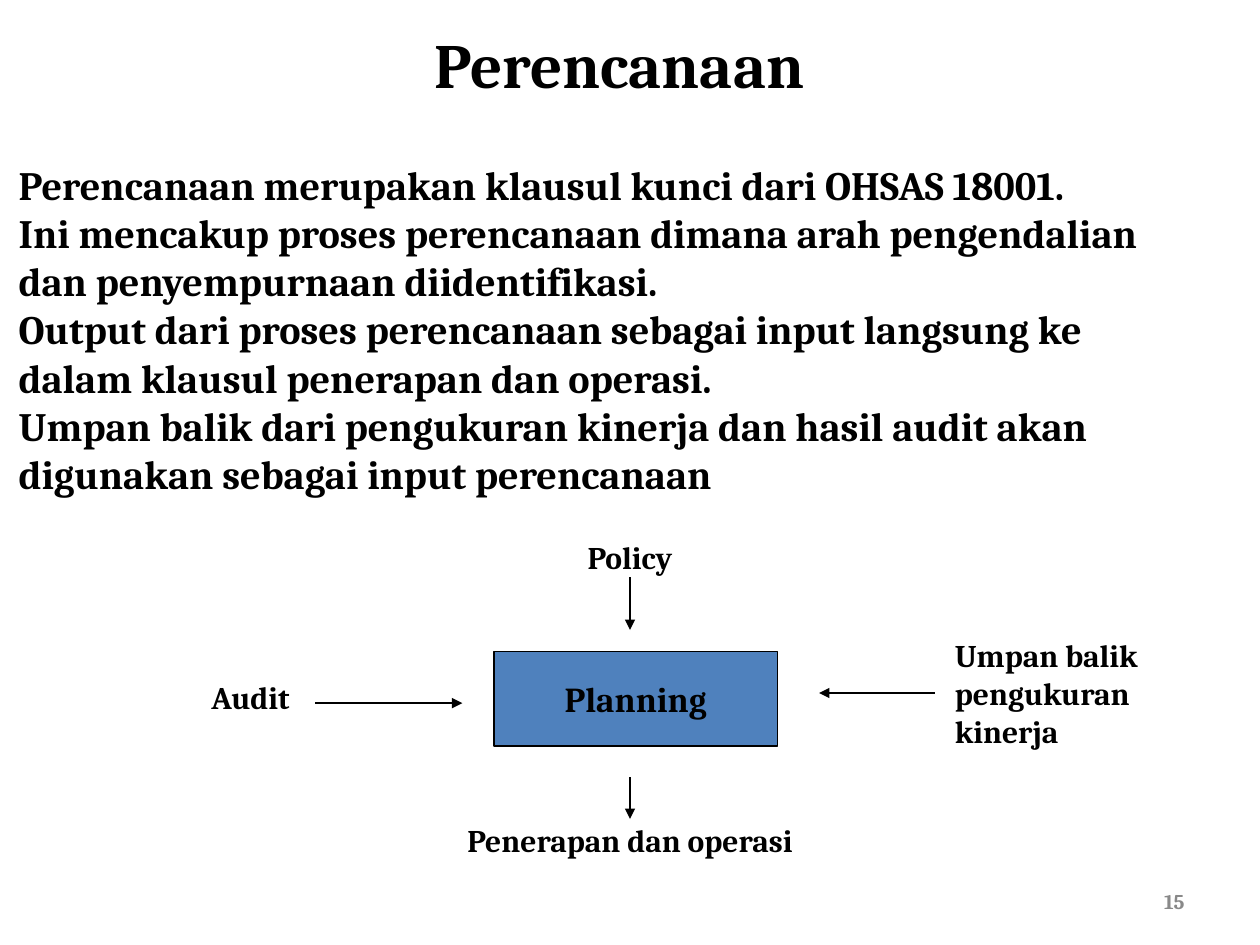
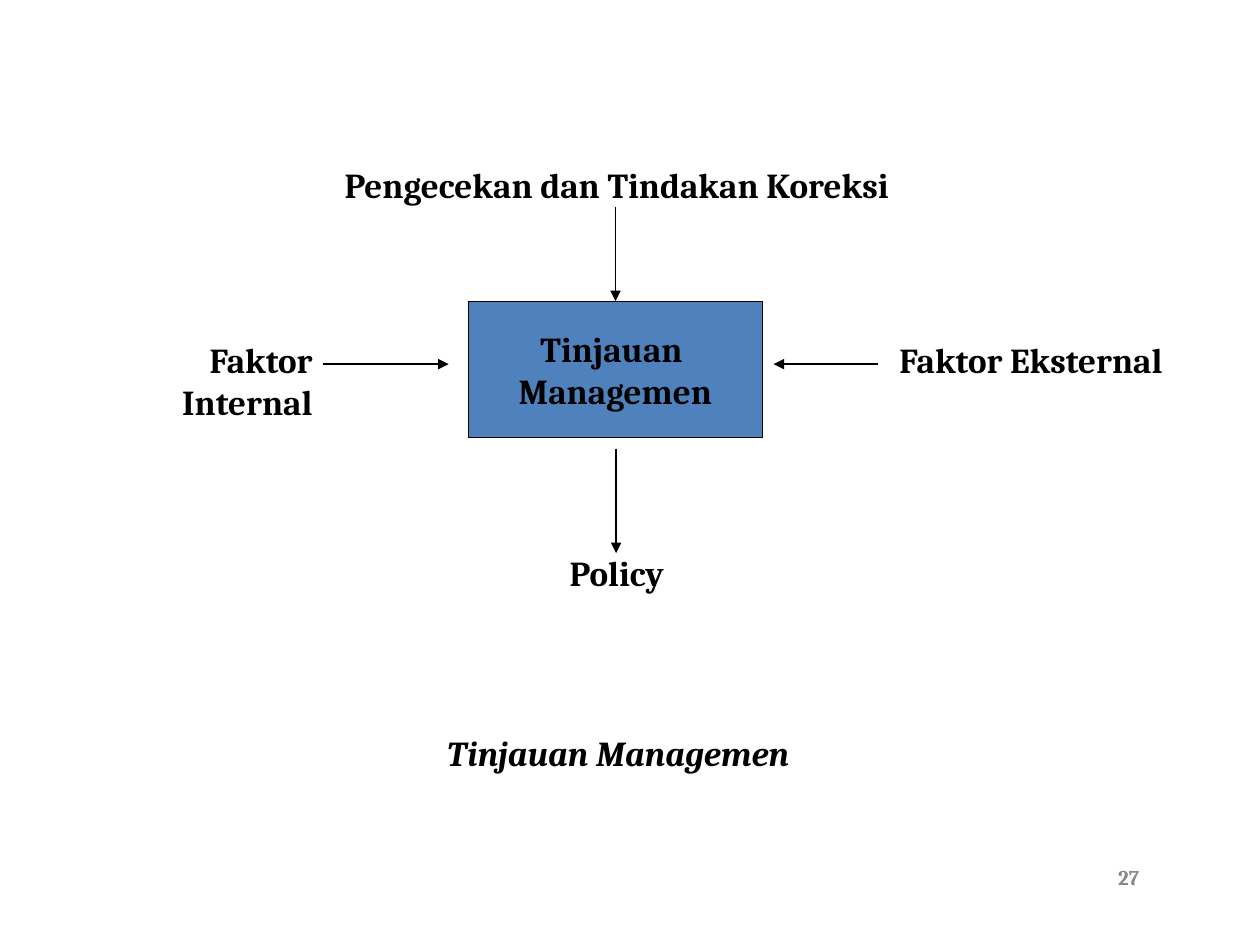
from lxml.etree import SubElement
from pptx import Presentation
from pptx.dml.color import RGBColor
from pptx.enum.shapes import MSO_CONNECTOR, MSO_SHAPE
from pptx.enum.text import MSO_ANCHOR, PP_ALIGN
from pptx.oxml.ns import qn
from pptx.util import Inches, Pt

BLACK = RGBColor(0x00, 0x00, 0x00)
GRAY = RGBColor(0x89, 0x89, 0x89)
BLUE = RGBColor(0x4F, 0x81, 0xBD)
FONT = "Cambria"
LEFT, CENTER, RIGHT = PP_ALIGN.LEFT, PP_ALIGN.CENTER, PP_ALIGN.RIGHT


def write_text(shape, text, size, align, color=BLACK, italic=None, anchor=MSO_ANCHOR.TOP):
    frame = shape.text_frame
    frame.text = text
    frame.word_wrap = True
    frame.vertical_anchor = anchor
    for paragraph in frame.paragraphs:
        paragraph.alignment = align
        paragraph.font.name = FONT
        paragraph.font.size = Pt(size)
        paragraph.font.bold = True
        paragraph.font.italic = italic
        paragraph.font.color.rgb = color


def add_arrow(slide, start_x, start_y, end_x, end_y):
    arrow = slide.shapes.add_connector(
        MSO_CONNECTOR.STRAIGHT,
        Inches(start_x), Inches(start_y), Inches(end_x), Inches(end_y))
    arrow.line.color.rgb = BLACK
    arrow.line.width = Pt(0.75)
    SubElement(arrow.line._get_or_add_ln(), qn("a:tailEnd"), type="triangle")
    SubElement(arrow._element.spPr, qn("a:effectLst"))
    return arrow


planning_text = "\n".join([
    "Perencanaan merupakan klausul kunci dari OHSAS 18001.",
    "Ini mencakup proses perencanaan dimana arah pengendalian",
    "dan penyempurnaan diidentifikasi.",
    "Output dari proses perencanaan sebagai input langsung ke",
    "dalam klausul penerapan dan operasi.",
    "Umpan balik dari pengukuran kinerja dan hasil audit akan",
    "digunakan sebagai input perencanaan",
])

planning = {
    "number": ("15", 7.17, 6.95),
    "process": ("Planning", 3.92, 5.17, 2.25, 0.75),
    "labels": [
        ("Perencanaan", 3.16, 0.15, 3.51, 0.7, 36, CENTER, None),
        (planning_text, 0.05, 1.22, 9.9, 2.78, 23, LEFT, None),
        ("Policy", 4.5, 4.22, 1, 0.4, 18, CENTER, None),
        ("Umpan balik\npengukuran\nkinerja", 7.48, 5, 1.71, 1, 18, LEFT, None),
        ("Penerapan dan operasi", 3.44, 6.47, 3.12, 0.4, 18, CENTER, None),
        ("Audit", 1.58, 5.33, 0.9, 0.4, 18, LEFT, None),
    ],
    "arrows": [
        (2.5, 5.58, 3.67, 5.58),
        (5, 4.58, 5, 5),
        (5, 6.17, 5, 6.5),
        (7.42, 5.5, 6.5, 5.5),
    ],
}

review = {
    "number": ("27", 6.81, 6.76),
    "process": ("Tinjauan \nManagemen", 3.72, 2.39, 2.33, 1.08),
    "labels": [
        ("Faktor Eksternal", 7.04, 2.64, 2.35, 0.44, 20, LEFT, None),
        ("Pengecekan dan Tindakan Koreksi", 2.37, 1.25, 5.05, 0.44, 20, CENTER, None),
        ("Faktor Internal", 0.48, 2.64, 2.1, 0.77, 20, RIGHT, None),
        ("Policy", 4.37, 4.33, 1.05, 0.44, 20, CENTER, None),
        ("Tinjauan Managemen", 3.25, 5.76, 3.31, 0.44, 20, CENTER, True),
    ],
    "arrows": [
        (6.97, 2.89, 6.14, 2.89),
        (4.89, 3.56, 4.89, 4.39),
        (4.89, 1.64, 4.89, 2.39),
        (2.56, 2.89, 3.56, 2.89),
    ],
}

presentation = Presentation()
presentation.slide_width = Inches(10)
presentation.slide_height = Inches(7.5)

for diagram in (planning, review):
    slide = presentation.slides.add_slide(presentation.slide_layouts[6])

    number, left, top = diagram["number"]
    number_box = slide.shapes.add_textbox(Inches(left), Inches(top), Inches(2.33), Inches(0.4))
    write_text(number_box, number, 12, RIGHT, GRAY, anchor=MSO_ANCHOR.MIDDLE)

    name, left, top, width, height = diagram["process"]
    process = slide.shapes.add_shape(
        MSO_SHAPE.RECTANGLE, Inches(left), Inches(top), Inches(width), Inches(height))
    process.shadow.inherit = False
    process.fill.solid()
    process.fill.fore_color.rgb = BLUE
    process.line.color.rgb = BLACK
    process.line.width = Pt(0.75)
    write_text(process, name, 20, CENTER, anchor=MSO_ANCHOR.MIDDLE)

    for start_x, start_y, end_x, end_y in diagram["arrows"]:
        arrow = add_arrow(slide, start_x, start_y, end_x, end_y)
        if end_y == top:
            arrow.end_connect(process, 0)
            arrow.begin_x = arrow.end_x

    for text, left, top, width, height, size, align, italic in diagram["labels"]:
        label = slide.shapes.add_textbox(
            Inches(left), Inches(top), Inches(width), Inches(height))
        write_text(label, text, size, align, italic=italic)

presentation.save("out.pptx")
